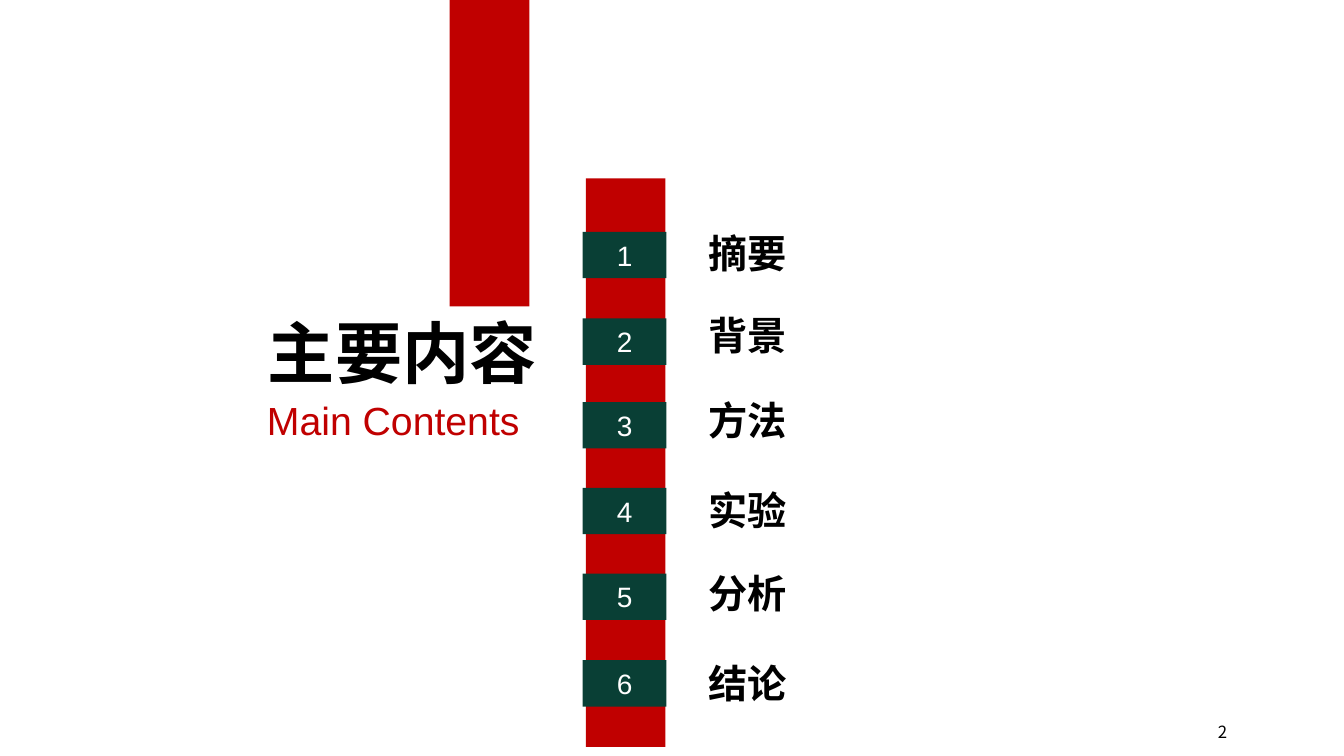
from typing import NamedTuple

from lxml import etree
from pptx import Presentation
from pptx.dml.color import RGBColor
from pptx.enum.shapes import MSO_SHAPE
from pptx.enum.text import MSO_ANCHOR, MSO_AUTO_SIZE, PP_ALIGN
from pptx.oxml.ns import qn
from pptx.util import Inches, Pt

RECTANGLE = MSO_SHAPE.RECTANGLE
TOP, MIDDLE = MSO_ANCHOR.TOP, MSO_ANCHOR.MIDDLE
LEFT, CENTER, RIGHT = PP_ALIGN.LEFT, PP_ALIGN.CENTER, PP_ALIGN.RIGHT
GROW, FIXED = MSO_AUTO_SIZE.SHAPE_TO_FIT_TEXT, MSO_AUTO_SIZE.NONE

RED, GREEN, BLACK, WHITE = "C00000", "093F35", "000000", "FFFFFF"
CHINESE, LATIN = "Noto Sans CJK SC", "Arial"


class Box(NamedTuple):
    left: float
    top: float
    width: float
    height: float


class Chapter(NamedTuple):
    title: str
    title_top: float
    number_top: float


CHAPTERS = [
    Chapter("摘要", 2.23, 2.3),
    Chapter("背景", 3.04, 3.16),
    Chapter("方法", 3.88, 3.99),
    Chapter("实验", 4.78, 4.84),
    Chapter("分析", 5.6, 5.69),
    Chapter("结论", 6.49, 6.55),
]


def color(value: str) -> RGBColor:
    return RGBColor.from_string(value)


def write(shape, text: str, *, size: float, font: str = CHINESE,
          fill: str = BLACK, bold: bool = False, align=LEFT,
          anchor=TOP, fit=FIXED) -> None:
    frame = shape.text_frame
    frame.word_wrap = True
    frame.auto_size = fit
    frame.vertical_anchor = anchor
    paragraph = frame.paragraphs[0]
    paragraph.alignment = align
    run = paragraph.add_run()
    run.text = text
    run.font.size = Pt(size)
    run.font.bold = bold
    run.font.color.rgb = color(fill)
    run.font.name = font
    east_asian = etree.SubElement(run._r.get_or_add_rPr(), qn("a:ea"))
    east_asian.set("typeface", font)


def add_block(shapes, box: Box, fill: str):
    block = shapes.add_shape(RECTANGLE, *map(Inches, box))
    block.shadow.inherit = False
    block.fill.solid()
    block.fill.fore_color.rgb = color(fill)
    block.line.fill.background()
    return block


def add_text(shapes, box: Box, text: str, **style) -> None:
    write(shapes.add_textbox(*map(Inches, box)), text, **style)


def main() -> None:
    deck = Presentation()
    deck.slide_width, deck.slide_height = Inches(13.33), Inches(7.5)
    shapes = deck.slides.add_slide(deck.slide_layouts[6]).shapes

    add_block(shapes, Box(4.46, 0, 0.79, 3.04), RED)
    add_text(shapes, Box(2.44, 3.04, 3.1, 0.91), "主要内容",
             size=48, bold=True, align=CENTER, fit=GROW)
    add_text(shapes, Box(1.85, 3.88, 3.4, 0.57), "Main Contents",
             size=28, font=LATIN, fill=RED, align=RIGHT, fit=GROW)
    add_text(shapes, Box(9.27, 7.06, 3, 0.4), "2",
             size=12, align=RIGHT, anchor=MIDDLE)

    ladder = shapes.add_group_shape().shapes
    add_block(ladder, Box(5.81, 1.77, 0.79, 5.64), RED)
    for number, chapter in enumerate(CHAPTERS, start=1):
        badge = add_block(ladder, Box(5.78, chapter.number_top, 0.83, 0.46), GREEN)
        write(badge, str(number), size=20, font=LATIN, fill=WHITE,
              align=CENTER, anchor=MIDDLE)
        add_text(shapes, Box(6.93, chapter.title_top, 3.27, 0.57), chapter.title,
                 size=28, bold=True, fit=GROW)

    deck.save("out.pptx")


if __name__ == "__main__":
    main()
